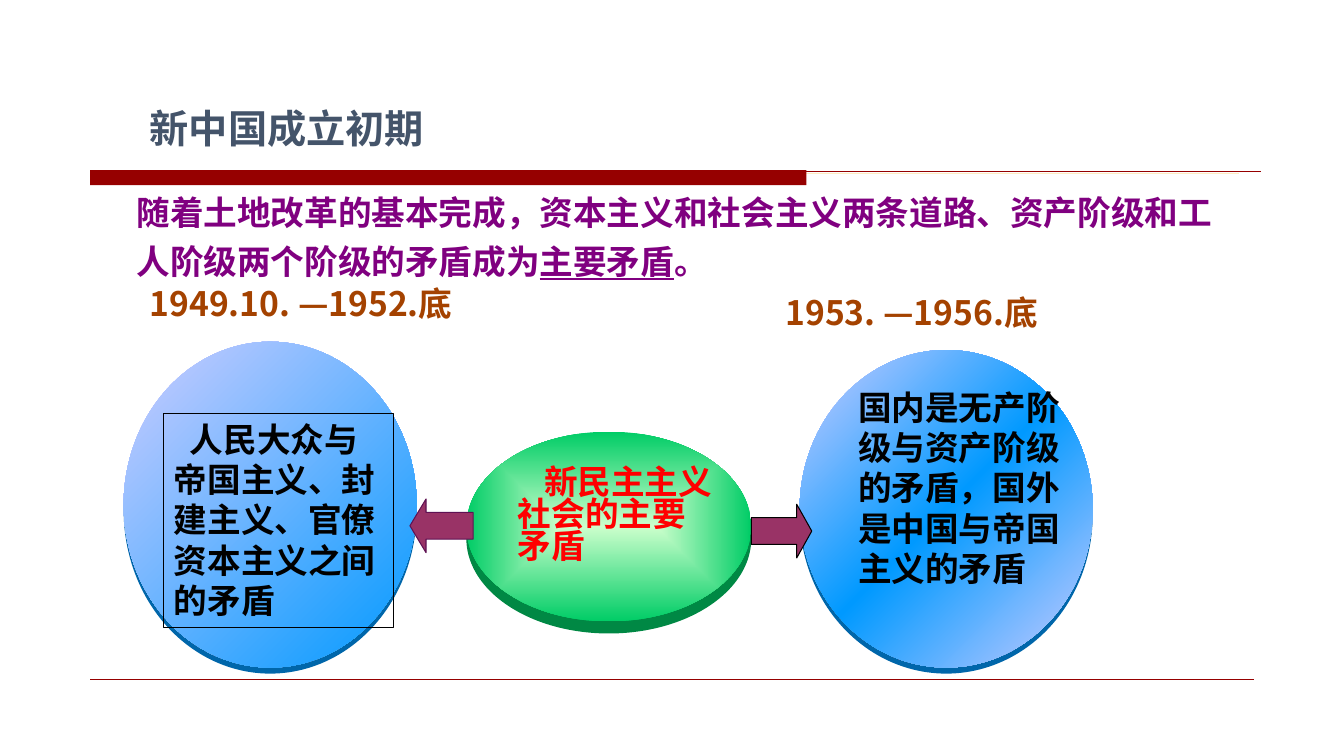
from dataclasses import dataclass

from lxml import etree
from pptx import Presentation, util as u
from pptx.dml.color import RGBColor
from pptx.enum import shapes, text
from pptx.oxml import parse_xml
from pptx.oxml.ns import nsdecls, qn


@dataclass(frozen=True)
class Theme:
    sc: str = "Noto Sans CJK SC"
    jp: str = "Noto Sans CJK JP"
    roman: str = "Times New Roman"
    heading: int = 28
    reading: int = 24
    slate: str = "44546A"
    purple: str = "800080"
    rust: str = "A44200"
    red: str = "FF0000"
    black: str = "000000"
    white: str = "FFFFFF"
    crimson: str = "960000"
    cream: str = "FFEDC2"
    plum: str = "993366"
    plum_edge: str = "5E1253"
    lilac: str = "CDCDFF"
    blue: str = "0099FF"
    blue_rim: str = "0066AA"
    mint: str = "CCFFCC"
    green: str = "00CC66"
    green_rim: str = "008844"


THEME = Theme()
WIDTH, HEIGHT = u.Inches(13.33), u.Inches(7.5)


def across(share):
    return round(WIDTH * share / 100)


def down(share):
    return round(HEIGHT * share / 100)


def area(left, top, width, height):
    return across(left), down(top), across(width), down(height)


def rgb(color):
    return RGBColor.from_string(color)


def add_run(paragraph, words, color, font, size=THEME.reading, underline=None, latin=None):
    run = paragraph.add_run()
    run.text = words
    run.font.size = u.Pt(size)
    run.font.bold = True
    run.font.underline = underline
    run.font.color.rgb = rgb(color)
    run.font.name = latin or font
    east_asian = etree.SubElement(run.font._element, qn("a:ea"))
    east_asian.set("typeface", font)
    return run


def first_paragraph(holder, wrap=True, spacing=1.0, indent=0):
    frame = holder.text_frame
    frame.word_wrap = wrap
    frame.auto_size = text.MSO_AUTO_SIZE.NONE
    frame.vertical_anchor = text.MSO_ANCHOR.TOP
    paragraph = frame.paragraphs[0]
    properties = paragraph._p.get_or_add_pPr()
    properties.set("marL", "0")
    properties.set("indent", str(u.Inches(indent)))
    etree.SubElement(properties, qn("a:buNone"))
    paragraph.alignment = text.PP_ALIGN.LEFT
    paragraph.line_spacing = spacing
    paragraph.space_before = u.Pt(0)
    return paragraph


def place(holder, box):
    holder.left, holder.top, holder.width, holder.height = area(*box)


def add_label(slide, box, words, color, font, **layout):
    label = slide.shapes.add_textbox(*area(*box))
    add_run(first_paragraph(label, **layout), words, color, font)
    return label


def add_plain(slide, kind, box, fill, edge=None):
    plain = slide.shapes.add_shape(kind, *area(*box))
    plain.shadow.inherit = False
    plain.fill.solid()
    plain.fill.fore_color.rgb = rgb(fill)
    if edge:
        plain.line.color.rgb = rgb(edge)
        plain.line.width = u.Pt(0.75)
    else:
        plain.line.fill.background()
    return plain


def add_rule(slide, left, right, row, color, weight):
    rule = slide.shapes.add_connector(
        shapes.MSO_CONNECTOR.STRAIGHT, across(left), down(row), across(right), down(row))
    rule.line.color.rgb = rgb(color)
    rule.line.width = u.Pt(weight)
    etree.SubElement(rule._element.spPr, qn("a:effectLst"))


def add_disc(slide, box, colors, rim, depth, radial=False):
    left, top, width, height = box
    oval = shapes.MSO_SHAPE.OVAL
    add_plain(slide, oval, (left, top + depth, width, height), rim)
    face = add_plain(slide, oval, box, colors[0])
    stops = "".join(
        f'<a:gs pos="{100000 * index // (len(colors) - 1)}"><a:srgbClr val="{color}"/></a:gs>'
        for index, color in enumerate(colors))
    direction = '<a:lin ang="2700000" scaled="1"/>'
    if radial:
        direction = ('<a:path path="shape"><a:fillToRect l="50000" t="50000" '
                     'r="50000" b="50000"/></a:path>')
    gradient = parse_xml(
        f'<a:gradFill {nsdecls("a")} rotWithShape="1"><a:gsLst>{stops}</a:gsLst>'
        f'{direction}</a:gradFill>')
    properties = face._element.spPr
    properties.replace(properties.find(qn("a:solidFill")), gradient)


def add_arrow(slide, kind, box, head, edge):
    arrow = add_plain(slide, kind, box, THEME.plum, edge)
    arrow.adjustments[0] = 0.5
    arrow.adjustments[1] = head


def cast_light_shadow(run):
    shadow = parse_xml(
        f'<a:effectLst {nsdecls("a")}><a:outerShdw dist="35921" dir="2700000">'
        f'<a:srgbClr val="{THEME.white}"/></a:outerShdw></a:effectLst>')
    run.font._element.find(qn("a:solidFill")).addnext(shadow)


def add_frame_lines(slide):
    add_rule(slide, 7.2, 92.2, 22.9, THEME.cream, 0.75)
    add_plain(slide, shapes.MSO_SHAPE.RECTANGLE, (6.7, 22.5, 53.3, 2), THEME.crimson)
    add_rule(slide, 59.6, 93.8, 22.7, THEME.crimson, 0.75)
    add_rule(slide, 6.7, 93.3, 89.9, THEME.crimson, 0.5)


def fill_placeholders(slide):
    title, summary = slide.placeholders
    place(title, (10.4, 13.1, 64.1, 7.6))
    add_run(first_paragraph(title), "新中国成立初期", THEME.slate, THEME.sc, THEME.heading)
    place(summary, (9.4, 23.7, 81.8, 14.3))
    paragraph = first_paragraph(summary, spacing=1.2)
    add_run(paragraph, "随着土地改革的基本完成，资本主义和社会主义两条道路、"
            "资产阶级和工人阶级两个阶级的矛盾成为", THEME.purple, THEME.sc)
    add_run(paragraph, "主要矛盾", THEME.purple, THEME.sc, underline=True)
    add_run(paragraph, "。", THEME.purple, THEME.sc, underline=False)


def add_contradictions(slide):
    lilac, blue = THEME.lilac, THEME.blue
    add_disc(slide, (9.2, 45.2, 21.8, 43.1), (lilac, blue), THEME.blue_rim, 0.8)
    add_disc(slide, (59.5, 46.3, 21.8, 42), (lilac, blue, lilac), THEME.blue_rim, 0.8)
    add_disc(slide, (34.7, 57.1, 21.2, 25.1), (THEME.mint, THEME.green),
             THEME.green_rim, 1.6, radial=True)

    core = slide.shapes.add_textbox(*area(37.8, 61.3, 16, 14.9))
    cast_light_shadow(add_run(
        first_paragraph(core, spacing=0.8, indent=0.26), "新民主主义社会的主要矛盾",
        THEME.red, THEME.sc, latin=THEME.roman))

    early = add_label(slide, (12.2, 54.7, 17.1, 28.3),
                      "人民大众与帝国主义、封建主义、官僚资本主义之间的矛盾",
                      THEME.black, THEME.jp, indent=0.16)
    early.line.color.rgb = rgb(THEME.black)
    early.line.width = u.Pt(0.75)
    add_label(slide, (63.1, 50.5, 16.5, 33.6),
              "国内是无产阶级与资产阶级的矛盾，国外是中国与帝国主义的矛盾",
              THEME.black, THEME.jp)
    add_label(slide, (10.4, 36.8, 28.2, 6.7), "1949.10. —1952.底",
              THEME.rust, THEME.jp, wrap=False)
    add_label(slide, (57.7, 37.9, 23.7, 6.7), "1953. —1956.底",
              THEME.rust, THEME.jp, wrap=False)
    add_arrow(slide, shapes.MSO_SHAPE.LEFT_ARROW, (30.5, 66, 4.7, 7.1), 0.3, THEME.plum_edge)
    add_arrow(slide, shapes.MSO_SHAPE.RIGHT_ARROW, (55.9, 66.7, 4.5, 7.1), 0.28, THEME.black)


def main():
    deck = Presentation()
    deck.slide_width, deck.slide_height = WIDTH, HEIGHT
    slide = deck.slides.add_slide(deck.slide_layouts[1])
    add_frame_lines(slide)
    fill_placeholders(slide)
    add_contradictions(slide)
    deck.save("out.pptx")


if __name__ == "__main__":
    main()
